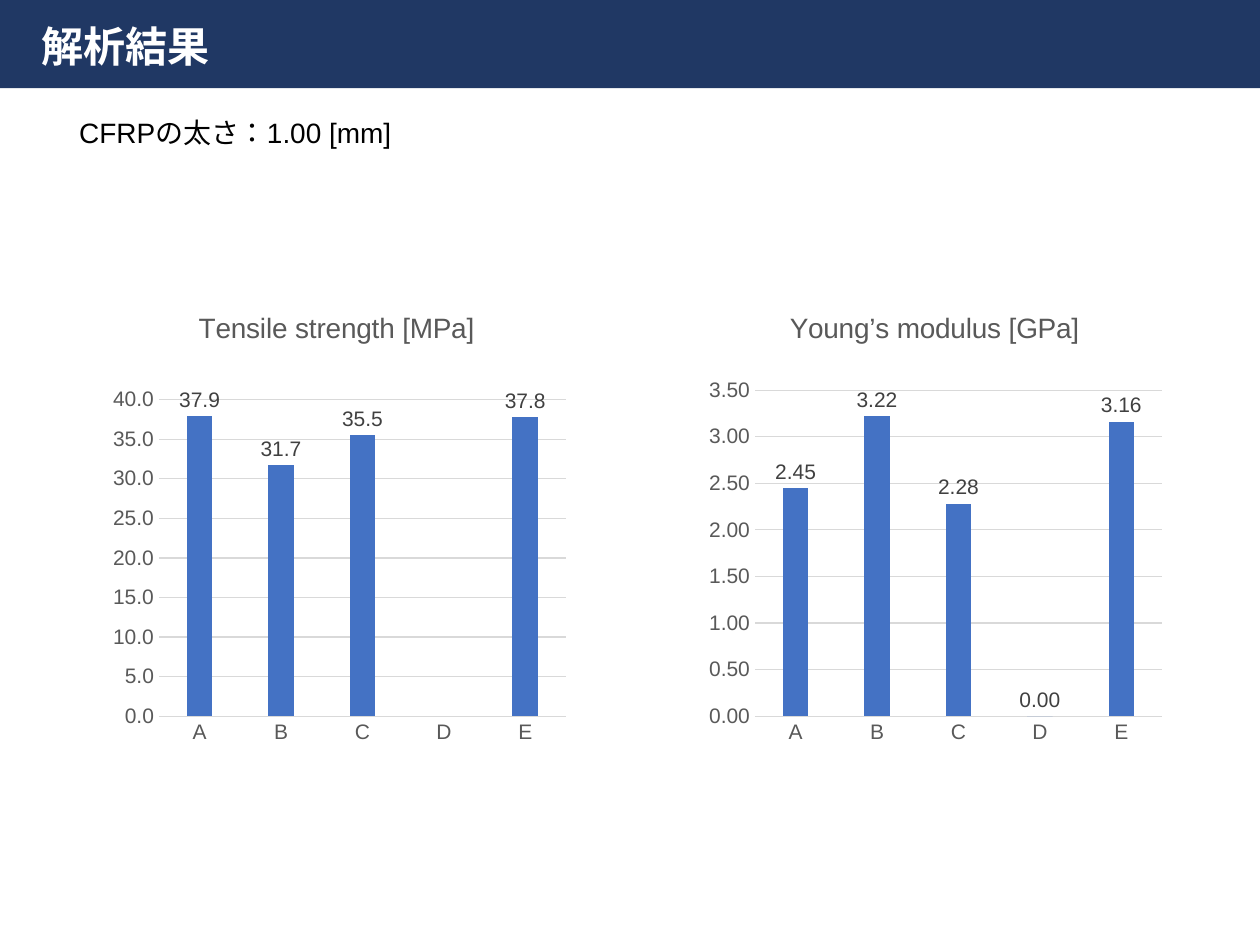
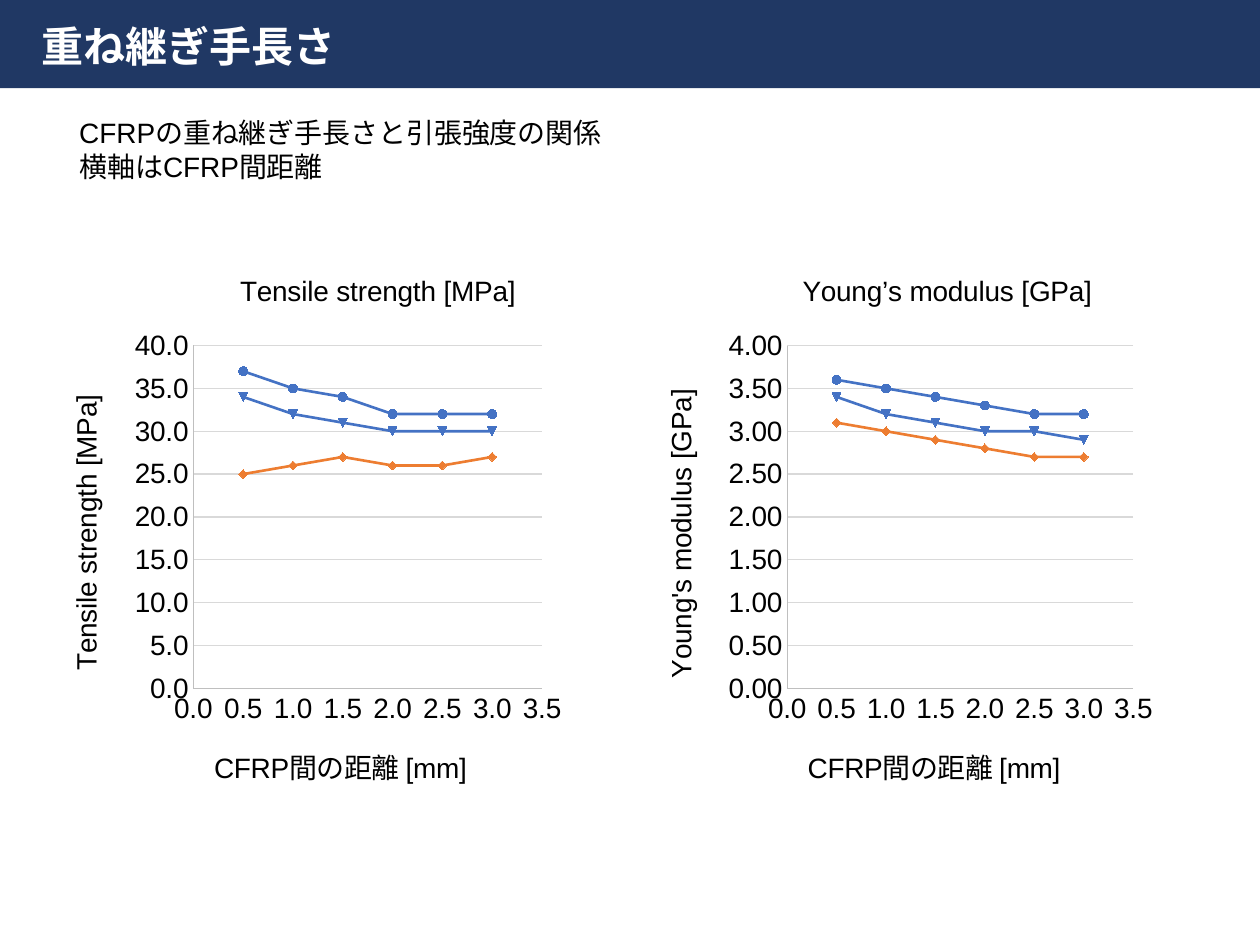
from dataclasses import dataclass

from lxml.etree import SubElement
from pptx import Presentation
from pptx.chart.data import CategoryChartData, XyChartData
from pptx.dml.color import RGBColor
from pptx.enum.chart import XL_CHART_TYPE, XL_LABEL_POSITION, XL_MARKER_STYLE, XL_TICK_MARK
from pptx.enum.lang import MSO_LANGUAGE_ID
from pptx.enum.shapes import MSO_SHAPE
from pptx.oxml import parse_xml
from pptx.oxml.ns import nsdecls, qn
from pptx.util import Pt

# Content
BAR_SLIDE = {
    "title": "解析結果",
    "lines": ["CFRPの太さ：1.00 [mm]"],
    "box_height": 26.6,
    "models": ["A", "B", "C", "D", "E"],
    "charts": [
        {"title": "Tensile strength [MPa]", "values": [37.9, 31.7, 35.5, None, 37.8],
         "format": "0.0", "top": 40, "step": 5,
         "frame": (51.1, 166.3, 283.7, 270),
         "title_at": (0.21, 0.03), "plot": (0.14, 0.23, 0.82, 0.67)},
        {"title": "Young’s modulus [GPa]", "values": [2.45, 3.22, 2.28, 0, 3.16],
         "format": "0.00", "top": 3.5, "step": 0.5,
         "frame": (391.7, 166.3, 283.7, 270),
         "title_at": (0.2, 0.03), "plot": (0.14, 0.21, 0.82, 0.69)},
    ],
}
LAP_SLIDE = {
    "title": "重ね継ぎ手長さ",
    "lines": ["CFRPの重ね継ぎ手長さと引張強度の関係", "横軸はCFRP間距離"],
    "box_height": 46,
    "distances": [0.5, 1, 1.5, 2, 2.5, 3],
    "distance_title": "CFRP間の距離 [mm]",
    "charts": [
        {"title": "Tensile strength [MPa]", "value_title": "Tensile strength [MPa]",
         "curves": [[25, 26, 27, 26, 26, 27],
                    [34, 32, 31, 30, 30, 30],
                    [37, 35, 34, 32, 32, 32]],
         "format": "0.0", "top": 40, "step": 5,
         "frame": (30.2, 146.9, 297.4, 316.1),
         "title_at": (0.35, 0.02), "value_title_at": (0.02, 0.24)},
        {"title": "Young’s modulus [GPa]", "value_title": "Young's modulus [GPa]",
         "curves": [[3.1, 3, 2.9, 2.8, 2.7, 2.7],
                    [3.4, 3.2, 3.1, 3, 3, 2.9],
                    [3.6, 3.5, 3.4, 3.3, 3.2, 3.2]],
         "format": "0.00", "top": 4, "step": 0.5,
         "frame": (370.1, 146.9, 295.2, 316.1),
         "title_at": (0.29, 0.02), "value_title_at": (0.02, 0.23)},
    ],
}


@dataclass(frozen=True)
class Theme:
    font: str = "Arial"
    navy: str = "203864"
    white: str = "FFFFFF"
    black: str = "000000"
    gray: str = "595959"
    label: str = "404040"
    grid: str = "D9D9D9"
    axis: str = "BFBFBF"
    blue: str = "4472C4"
    orange: str = "ED7D31"
    heading: float = 24
    body: float = 16
    small: float = 12
    hairline: float = 0.75
    curve: float = 1.5


THEME = Theme()
CURVE_STYLES = [(THEME.orange, XL_MARKER_STYLE.DIAMOND),
                (THEME.blue, XL_MARKER_STYLE.AUTOMATIC),
                (THEME.blue, XL_MARKER_STYLE.CIRCLE)]
LAP_PLOT = (0.27, 0.16, 0.67, 0.62)
DISTANCE_TITLE_AT = (0.3, 0.87)


# Shared helpers
def rgb(code):
    return RGBColor.from_string(code)


def style_font(font, size, color, bold=False):
    font.name, font.size, font.bold = THEME.font, Pt(size), bold
    font.color.rgb = rgb(color)


def style_line(line, color, width=THEME.hairline):
    line.color.rgb = rgb(color)
    line.width = Pt(width)


def add_text(slide, frame, lines, size, color, bold=False):
    box = slide.shapes.add_textbox(*map(Pt, frame))
    box.text_frame.word_wrap = True
    box.text_frame.text = "\n".join(lines)
    for paragraph in box.text_frame.paragraphs:
        for run in paragraph.runs:
            style_font(run.font, size, color, bold)
            run.font.language_id = MSO_LANGUAGE_ID.JAPANESE


def add_slide(deck, content):
    slide = deck.slides.add_slide(deck.slide_layouts[6])
    band = slide.shapes.add_shape(MSO_SHAPE.RECTANGLE, 0, 0, deck.slide_width, Pt(50.4))
    band.shadow.inherit = False
    band.fill.solid()
    band.fill.fore_color.rgb = rgb(THEME.navy)
    band.line.fill.background()
    add_text(slide, (16.6, 7.9, 636.5, 36), [content["title"]],
             THEME.heading, THEME.white, True)
    add_text(slide, (38.2, 62.6, 552.2, content["box_height"]), content["lines"],
             THEME.body, THEME.black)
    return slide


def place(part, position, index):
    """Put a chart part at fractions (x, y[, w, h]) of the chart."""
    layout = part.find(qn("c:layout"))
    if layout is None:
        layout = parse_xml(f"<c:layout {nsdecls('c')}/>")
        part.insert(index, layout)
    for child in list(layout):
        layout.remove(child)
    manual = SubElement(layout, qn("c:manualLayout"))
    if len(position) == 4:
        SubElement(manual, qn("c:layoutTarget")).set("val", "inner")
    for side in "xy":
        SubElement(manual, qn(f"c:{side}Mode")).set("val", "edge")
    for side, share in zip("xywh", position):
        SubElement(manual, qn(f"c:{side}")).set("val", str(share))


def set_title(title, text, position, color, turned=False):
    title.text_frame.text = text
    style_font(title.text_frame.paragraphs[0].runs[0].font, THEME.body, color)
    element = title._element
    if turned:
        body = element.find(f".//{qn('a:bodyPr')}")
        body.set("rot", "-5400000")
        body.set("vert", "horz")
    place(element, position, 1)


def style_axis(axis, size, color, line_color):
    axis.major_tick_mark = axis.minor_tick_mark = XL_TICK_MARK.NONE
    axis.has_major_gridlines = False
    style_font(axis.tick_labels.font, size, color)
    if line_color:
        style_line(axis.format.line, line_color)
    else:
        axis.format.line.fill.background()


def scale_axis(axis, top, step, number_format):
    axis.minimum_scale, axis.maximum_scale, axis.major_unit = 0, top, step
    axis.tick_labels.number_format = number_format
    axis.tick_labels.number_format_is_linked = False


def add_chart(slide, kind, item, data, plot, size, color, lines):
    """Add a chart with its title, plot area and both axes styled."""
    chart = slide.shapes.add_chart(kind, *map(Pt, item["frame"]), data).chart
    chart.has_legend = False
    style_font(chart.font, size, THEME.black)
    chart.has_title = True
    set_title(chart.chart_title, item["title"], item["title_at"], color)
    place(chart._chartSpace.find(f".//{qn('c:plotArea')}"), plot, 0)
    for axis, line in zip((chart.category_axis, chart.value_axis), lines):
        style_axis(axis, size, color, line)
    scale_axis(chart.value_axis, item["top"], item["step"], item["format"])
    chart.value_axis.has_major_gridlines = True
    style_line(chart.value_axis.major_gridlines.format.line, THEME.grid)
    chart.plots[0].vary_by_categories = False
    return chart


# Bar charts per model
def add_bars(slide, item, models):
    data = CategoryChartData(number_format=item["format"])
    data.categories = models
    data.add_series("Series 1", item["values"])
    chart = add_chart(slide, XL_CHART_TYPE.COLUMN_CLUSTERED, item, data, item["plot"],
                      THEME.small, THEME.gray, (THEME.grid, None))
    bars = chart.plots[0]
    bars.gap_width, bars.overlap = 219, -27
    fill = bars.series[0].format.fill
    fill.solid()
    fill.fore_color.rgb = rgb(THEME.blue)
    labels = bars.series[0].data_labels
    labels.show_value = True
    labels.position = XL_LABEL_POSITION.OUTSIDE_END
    labels.number_format, labels.number_format_is_linked = item["format"], False
    style_font(labels.font, THEME.small, THEME.label)


# Curves over the distance
def add_curves(slide, item, distances, distance_title):
    data = XyChartData(number_format=item["format"])
    for number, values in enumerate(item["curves"], 1):
        curve = data.add_series(f"Series {number}")
        for distance, value in zip(distances, values):
            curve.add_data_point(distance, value)
    chart = add_chart(slide, XL_CHART_TYPE.XY_SCATTER_LINES, item, data, LAP_PLOT,
                      THEME.body, THEME.black, (THEME.axis, THEME.axis))
    scale_axis(chart.category_axis, 3.5, 0.5, "0.0")
    set_title(chart.category_axis.axis_title, distance_title, DISTANCE_TITLE_AT, THEME.black)
    set_title(chart.value_axis.axis_title, item["value_title"], item["value_title_at"],
              THEME.black, turned=True)
    for number, (curve, style) in enumerate(zip(chart.plots[0].series, CURVE_STYLES), 1):
        color, symbol = style
        # The automatic marker follows the series index
        curve._element.find(qn("c:idx")).set("val", str(number))
        curve.smooth = False
        style_line(curve.format.line, color, THEME.curve)
        curve.marker.style, curve.marker.size = symbol, 5
        curve.marker.format.fill.solid()
        curve.marker.format.fill.fore_color.rgb = rgb(color)
        style_line(curve.marker.format.line, color)


def main():
    deck = Presentation()
    deck.slide_width, deck.slide_height = Pt(720), Pt(540)
    bar_slide = add_slide(deck, BAR_SLIDE)
    for item in BAR_SLIDE["charts"]:
        add_bars(bar_slide, item, BAR_SLIDE["models"])
    lap_slide = add_slide(deck, LAP_SLIDE)
    for item in LAP_SLIDE["charts"]:
        add_curves(lap_slide, item, LAP_SLIDE["distances"], LAP_SLIDE["distance_title"])
    deck.save("out.pptx")


if __name__ == "__main__":
    main()
